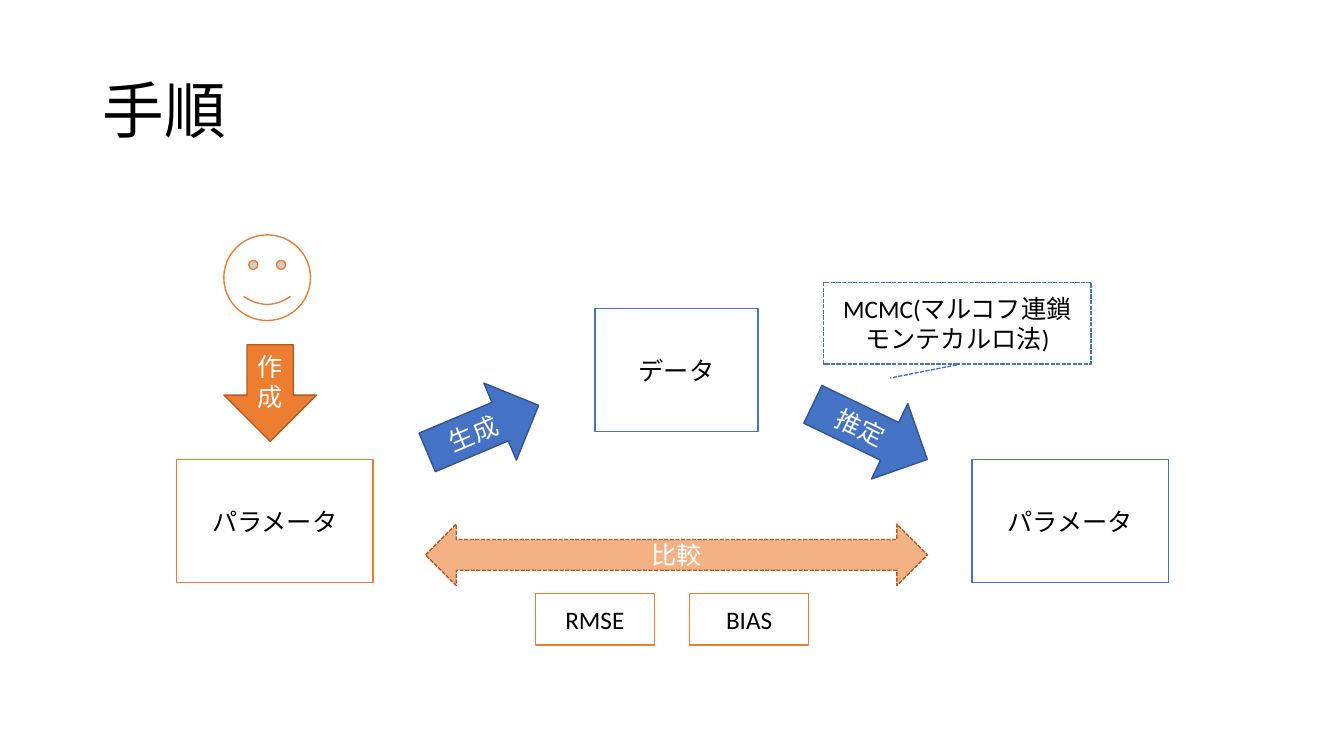
from dataclasses import dataclass

from lxml import etree
from pptx import Presentation
from pptx.dml.color import RGBColor
from pptx.enum.dml import MSO_LINE
from pptx.enum.shapes import MSO_CONNECTOR, MSO_SHAPE
from pptx.enum.text import MSO_ANCHOR, PP_ALIGN
from pptx.oxml.ns import qn
from pptx.slide import Slide
from pptx.text.text import TextFrame
from pptx.util import Inches, Pt

RECT = MSO_SHAPE.RECTANGLE
RIGHT = MSO_SHAPE.RIGHT_ARROW
DOWN = MSO_SHAPE.DOWN_ARROW
BOTH = MSO_SHAPE.LEFT_RIGHT_ARROW
SMILEY = MSO_SHAPE.SMILEY_FACE
STRAIGHT = MSO_CONNECTOR.STRAIGHT
DASH = MSO_LINE.SQUARE_DOT
MIDDLE = MSO_ANCHOR.MIDDLE
LEFT = PP_ALIGN.LEFT
CENTER = PP_ALIGN.CENTER

FONT = "Calibri"
COLORS = {
    "white": "FFFFFF",
    "black": "000000",
    "blue": "4472C4",
    "navy": "325491",
    "orange": "ED7D31",
    "brown": "AF5C24",
    "peach": "F4B183",
}


@dataclass
class Item:
    text: str
    left: float
    top: float
    width: float
    height: float
    line: str
    fill: str = "white"
    ink: str = "black"
    kind: MSO_SHAPE = RECT
    turn: float = 0
    dashed: bool = False


ITEMS = [
    Item("パラメータ", 1.75, 4.56, 1.95, 1.22, "orange"),
    Item("生成", 4.19, 3.84, 1.2, 0.83, "navy", "blue", "white", RIGHT, 337.1),
    Item("データ", 5.9, 3.06, 1.62, 1.22, "blue"),
    Item("推定", 8, 3.87, 1.26, 0.83, "navy", "blue", "white", RIGHT, 25.7),
    Item("パラメータ", 9.64, 4.56, 1.95, 1.22, "blue"),
    Item("比較", 4.22, 5.2, 4.98, 0.61, "brown", "peach", "white", BOTH, dashed=True),
    Item("", 2.22, 2.33, 0.86, 0.85, "orange", kind=SMILEY),
    Item("作成", 2.22, 3.42, 0.92, 0.96, "brown", "orange", "white", DOWN),
    Item("RMSE", 5.31, 5.89, 1.18, 0.51, "orange"),
    Item("BIAS", 6.84, 5.89, 1.18, 0.51, "orange"),
    Item("MCMC(マルコフ連鎖モンテカルロ法)", 8.17, 2.8, 2.65, 0.81, "blue", dashed=True),
]


def color(name: str) -> RGBColor:
    return RGBColor.from_string(COLORS[name])


def write(frame: TextFrame, text: str, size: int, ink: str, align: PP_ALIGN) -> None:
    frame.text = text
    frame.word_wrap = True
    frame.vertical_anchor = MIDDLE
    para = frame.paragraphs[0]
    para.alignment = align
    for run in para.runs:
        run.font.name = FONT
        run.font.size = Pt(size)
        run.font.color.rgb = color(ink)


def draw_title(slide: Slide, text: str) -> None:
    box = slide.shapes.add_textbox(Inches(0.92), Inches(0.4), Inches(11.5), Inches(1.45))
    write(box.text_frame, text, 44, "black", LEFT)
    box.text_frame.paragraphs[0].line_spacing = 0.9


def draw_item(slide: Slide, item: Item) -> None:
    shape = slide.shapes.add_shape(
        item.kind, Inches(item.left), Inches(item.top), Inches(item.width), Inches(item.height)
    )
    shape.shadow.inherit = False
    shape.rotation = item.turn
    shape.fill.solid()
    shape.fill.fore_color.rgb = color(item.fill)
    shape.line.color.rgb = color(item.line)
    shape.line.width = Pt(1)
    if item.dashed:
        shape.line.dash_style = DASH
    if item.text:
        write(shape.text_frame, item.text, 18, item.ink, CENTER)


def draw_tail(slide: Slide) -> None:
    tail = slide.shapes.add_connector(
        STRAIGHT, Inches(9.49), Inches(3.62), Inches(8.83), Inches(3.75)
    )
    tail.line.color.rgb = color("blue")
    tail.line.width = Pt(1)
    tail.line.dash_style = DASH
    etree.SubElement(tail._element.spPr, qn("a:effectLst"))


def main() -> None:
    deck = Presentation()
    deck.slide_width = Inches(13.33)
    deck.slide_height = Inches(7.5)
    slide = deck.slides.add_slide(deck.slide_layouts[6])
    draw_title(slide, "手順")
    for item in ITEMS:
        draw_item(slide, item)
    draw_tail(slide)
    deck.save("out.pptx")


if __name__ == "__main__":
    main()
